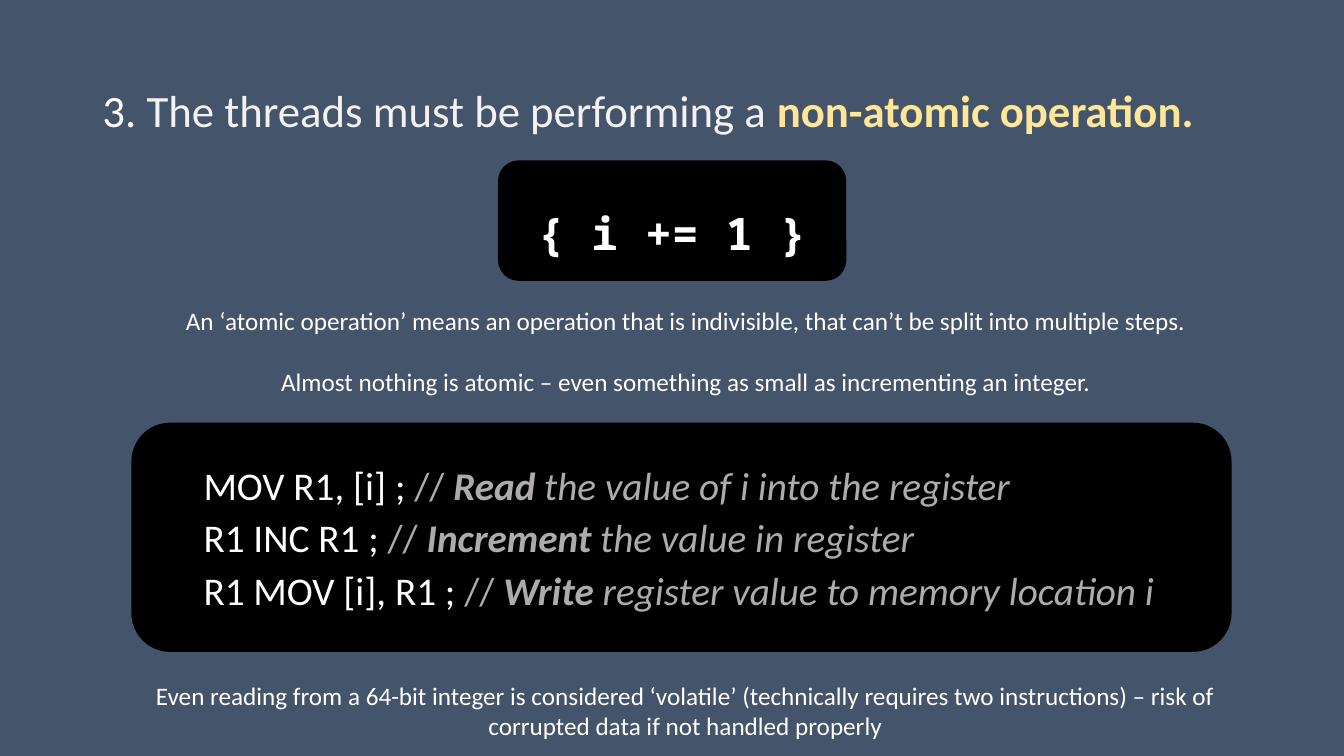
from pptx import Presentation
from pptx.dml.color import RGBColor
from pptx.enum.shapes import MSO_SHAPE
from pptx.enum.text import MSO_ANCHOR, PP_ALIGN
from pptx.util import Cm, Pt

ROUNDED = MSO_SHAPE.ROUNDED_RECTANGLE
MIDDLE, TOP = MSO_ANCHOR.MIDDLE, MSO_ANCHOR.TOP
LEFT, CENTER = PP_ALIGN.LEFT, PP_ALIGN.CENTER

SLATE, BLACK, WHITE = "44546A", "000000", "FFFFFF"
PALE, YELLOW, GREY = "F2F2F2", "FFE699", "AFABAB"


def color(value):
    return RGBColor.from_string(value)


class SlideBuilder:
    font = "Calibri"
    code_font = "Noto Sans Mono"
    note_size = 18

    def __init__(self, page):
        self.page = page

    def background(self, fill):
        self.page.background.fill.solid()
        self.page.background.fill.fore_color.rgb = color(fill)

    def text(self, left, top, width, height, anchor=TOP):
        box = self.page.shapes.add_textbox(Cm(left), Cm(top), Cm(width), Cm(height))
        return self.frame(box, anchor)

    def panel(self, left, top, width, height):
        box = self.page.shapes.add_shape(ROUNDED, Cm(left), Cm(top), Cm(width), Cm(height))
        box.shadow.inherit = False
        box.fill.solid()
        box.fill.fore_color.rgb = color(BLACK)
        box.line.color.rgb = color(BLACK)
        box.line.width = Pt(1)
        return self.frame(box, MIDDLE)

    def frame(self, box, anchor):
        box.text_frame.word_wrap = True
        box.text_frame.vertical_anchor = anchor
        return box.text_frame

    def paragraph(self, frame, spans, size=note_size, font=font, align=CENTER,
                  before=0, after=0, spacing=1.0):
        """Add a paragraph; each span is (text, colour, bold, italic)."""
        paragraph = frame.paragraphs[0]
        if paragraph.runs:
            paragraph = frame.add_paragraph()
        paragraph.alignment = align
        paragraph.line_spacing = spacing
        paragraph.space_before, paragraph.space_after = Pt(before), Pt(after)
        paragraph.font.name, paragraph.font.size = font, Pt(size)
        for text, ink, bold, italic in spans:
            span = paragraph.add_run()
            span.text = text
            span.font.color.rgb = color(ink)
            span.font.bold, span.font.italic = bold, italic

    def note(self, frame, text, before=0):
        self.paragraph(frame, [(text, WHITE, False, False)], before=before)


def main():
    deck = Presentation()
    deck.slide_width, deck.slide_height = Cm(33.87), Cm(19.05)
    builder = SlideBuilder(deck.slides.add_slide(deck.slide_layouts[6]))
    builder.background(SLATE)

    # Title
    title = builder.text(2.33, 1.01, 29.21, 3.68, MIDDLE)
    builder.paragraph(title, [
        ("3. ", WHITE, False, False),
        ("The threads must be performing a ", PALE, False, False),
        ("non-atomic operation.", YELLOW, True, False),
    ], size=32, align=LEFT, spacing=0.9)

    # Statement, set slightly below the middle of its panel
    statement = builder.panel(12.57, 4.06, 8.74, 3)
    statement.margin_top = Cm(0.74)
    builder.paragraph(statement, [("{ i += 1 }", WHITE, True, False)],
                      size=32, font=builder.code_font)

    # Machine instructions
    listing = builder.panel(3.33, 10.67, 27.69, 5.74)
    listing.margin_left = Cm(1.52)
    instructions = [
        ("MOV R1, [i] ; ", "Read", " the value of i into the register"),
        ("R1 INC R1 ; ", "Increment", " the value in register"),
        ("R1 MOV [i], R1 ; ", "Write", " register value to memory location i"),
    ]
    for code, verb, rest in instructions:
        builder.paragraph(listing, [
            (code, WHITE, False, False),
            ("// ", GREY, False, False),
            (verb, GREY, True, True),
            (rest, GREY, False, True),
        ], size=28, align=LEFT, before=2, after=2)

    # Definition
    definition = builder.text(1.7, 7.57, 31.17, 2.57)
    builder.note(definition, "An ‘atomic operation’ means an operation that is "
                 "indivisible, that can’t be split into multiple steps.")
    builder.note(definition, "Almost nothing is atomic – even something as small as "
                 "incrementing an integer.", before=22)

    # Warning
    warning = builder.text(3.53, 17.02, 27.48, 1.8)
    builder.note(warning, "Even reading from a 64-bit integer is considered ‘volatile’ "
                 "(technically requires two instructions) – risk of corrupted data "
                 "if not handled properly")

    deck.save("out.pptx")


if __name__ == "__main__":
    main()
